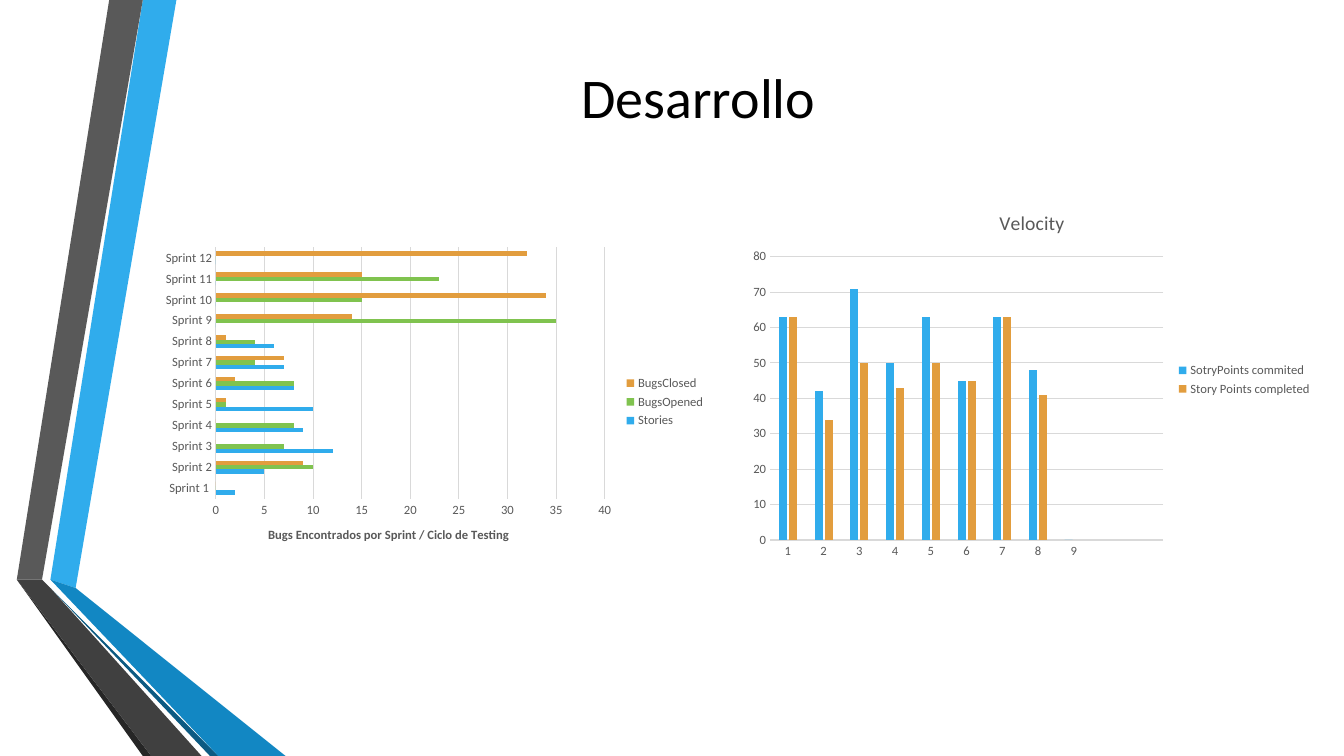
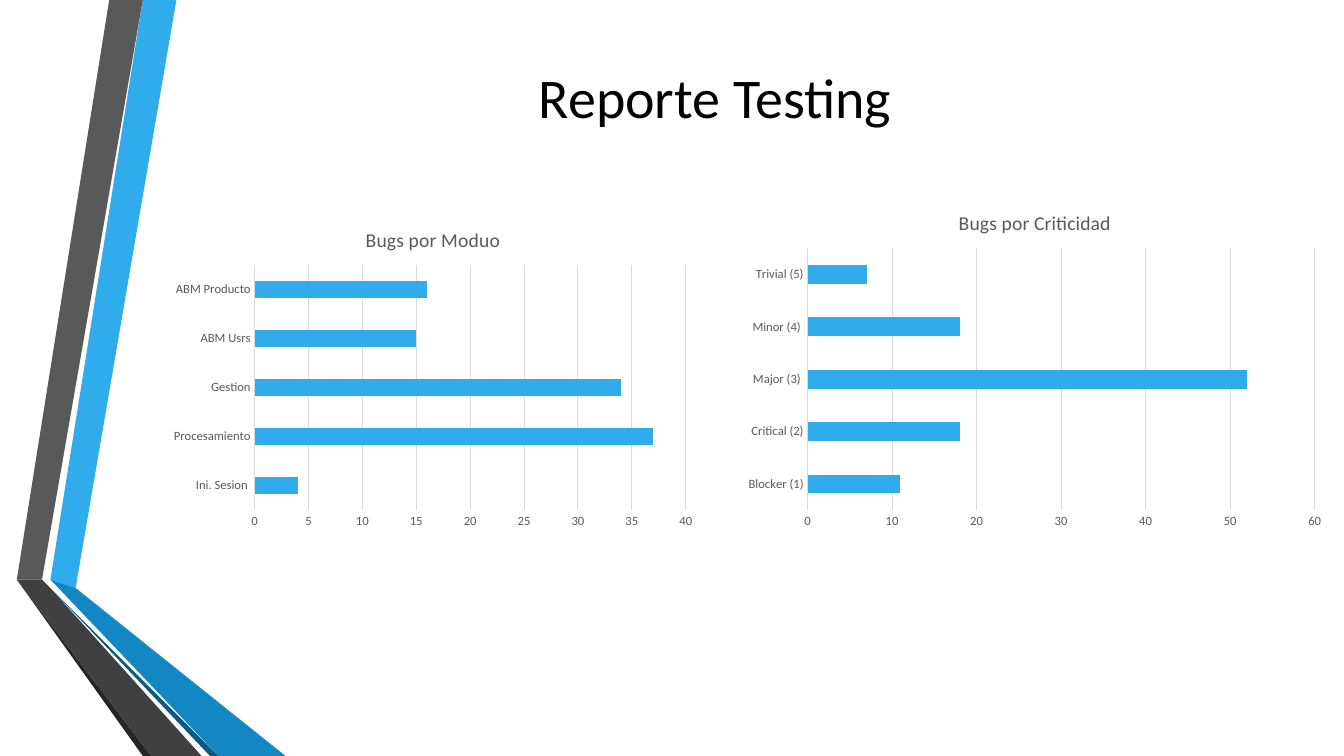
from dataclasses import dataclass
from typing import Optional

import pptx
import pptx.chart.axis
import pptx.chart.chart
import pptx.chart.data
import pptx.dml.color
import pptx.enum.chart
import pptx.enum.text
import pptx.slide
import pptx.text.text
import pptx.util

COLUMNS, ROWS = 160, 90
CELL = pptx.util.Inches(1 / 12)
FONT = "Calibri"
TITLE_SIZE, CHART_TITLE_SIZE, LABEL_SIZE = 40, 14, 9

BLACK = pptx.dml.color.RGBColor(0x00, 0x00, 0x00)
BLUE = pptx.dml.color.RGBColor(0x30, 0xAC, 0xEC)
DEEP_BLUE = pptx.dml.color.RGBColor(0x12, 0x87, 0xC3)
NAVY = pptx.dml.color.RGBColor(0x0C, 0x5A, 0x82)
GREEN = pptx.dml.color.RGBColor(0x80, 0xC3, 0x4F)
ORANGE = pptx.dml.color.RGBColor(0xE2, 0x9D, 0x3E)
GRAY = pptx.dml.color.RGBColor(0x59, 0x59, 0x59)
DARK_GRAY = pptx.dml.color.RGBColor(0x40, 0x40, 0x40)
CHARCOAL = pptx.dml.color.RGBColor(0x26, 0x26, 0x26)
LIGHT_GRAY = pptx.dml.color.RGBColor(0xD9, 0xD9, 0xD9)

BAR = pptx.enum.chart.XL_CHART_TYPE.BAR_CLUSTERED
COLUMN = pptx.enum.chart.XL_CHART_TYPE.COLUMN_CLUSTERED


@dataclass(frozen=True)
class Band:
    color: pptx.dml.color.RGBColor
    corners: tuple[tuple[float, float], ...]


@dataclass(frozen=True)
class Frame:
    column: float
    row: float
    columns: float
    rows: float


@dataclass(frozen=True)
class Series:
    name: str
    color: pptx.dml.color.RGBColor
    values: tuple[Optional[int], ...]


@dataclass(frozen=True)
class Graph:
    frame: Frame
    kind: pptx.enum.chart.XL_CHART_TYPE
    categories: tuple[str, ...]
    series: tuple[Series, ...]
    title: str = ""
    value_title: str = ""
    gap: int = 182
    overlap: int = 0


@dataclass(frozen=True)
class Report:
    title: str
    title_column: float
    graphs: tuple[Graph, ...]


BANDS = (
    Band(BLUE, ((6, 69.4), (9.2, 70), (20.8, 0), (17.4, 0))),
    Band(GRAY, ((16.7, 0), (13.3, 0), (1.9, 68.8), (5.3, 69.3))),
    Band(CHARCOAL, ((1.9, 68.8), (17.4, 90), (18.1, 90))),
    Band(NAVY, ((6, 69.5), (25, 90), (25.7, 90))),
    Band(DEEP_BLUE, ((6, 69.4), (25.7, 90), (34, 90), (9.2, 70))),
    Band(DARK_GRAY, ((24.2, 90), (5.8, 70), (5.3, 69.3), (1.9, 68.8), (18.1, 90))),
)

REPORTS = (
    Report("Desarrollo", 17.4, (
        Graph(
            Frame(18.4, 28.7, 66.8, 38.3), BAR,
            ("Sprint 1 ", *(f"Sprint {number}" for number in range(2, 13))),
            (
                Series("Stories", BLUE, (2, 5, 12, 9, 10, 8, 7, 6, 0, 0, 0, 0)),
                Series("BugsOpened", GREEN, (0, 10, 7, 8, 1, 8, 4, 4, 35, 15, 23, 0)),
                Series("BugsClosed", ORANGE, (0, 9, 0, 0, 1, 2, 7, 1, 14, 34, 15, 32)),
            ),
            value_title="Bugs Encontrados por Sprint / Ciclo de Testing",
        ),
        Graph(
            Frame(88.3, 23, 69.1, 44.4), COLUMN,
            (*(str(number) for number in range(1, 10)), "", ""),
            (
                Series("SotryPoints commited", BLUE,
                       (63, 42, 71, 50, 63, 45, 63, 48, 0, None, None)),
                Series("Story Points completed", ORANGE,
                       (63, 34, 50, 43, 50, 45, 63, 41, None, None, None)),
            ),
            title="Velocity", gap=219, overlap=-27,
        ),
    )),
    Report("Reporte Testing", 19.4, (
        Graph(
            Frame(19.4, 25.1, 64.3, 38.6), BAR,
            ("Ini. Sesion ", "Procesamiento", "Gestion", "ABM Usrs", "ABM Producto"),
            (Series("Series 1", BLUE, (4, 37, 34, 15, 16)),),
            title="Bugs por Moduo",
        ),
        Graph(
            Frame(87.7, 23, 71, 40.8), BAR,
            ("Blocker (1)", "Critical (2)", "Major (3) ", "Minor (4) ", "Trivial (5)"),
            (Series("Series 1", BLUE, (11, 18, 52, 18, 7)),),
            title="Bugs por Criticidad",
        ),
    )),
)


def cells(count: float) -> pptx.util.Emu:
    return pptx.util.Emu(round(count * CELL))


def place(frame: Frame) -> tuple[pptx.util.Emu, ...]:
    return tuple(cells(n) for n in (frame.column, frame.row, frame.columns, frame.rows))


def style_font(font: pptx.text.text.Font, size: float,
               color: pptx.dml.color.RGBColor = GRAY, bold: bool = False) -> None:
    font.name = FONT
    font.size = pptx.util.Pt(size)
    font.bold = bold
    font.color.rgb = color


def write(text_frame: pptx.text.text.TextFrame, text: str, size: float,
          color: pptx.dml.color.RGBColor = GRAY, bold: bool = False) -> None:
    para = text_frame.paragraphs[0]
    para.alignment = pptx.enum.text.PP_ALIGN.CENTER
    span = para.add_run()
    span.text = text
    style_font(span.font, size, color, bold)


def draw_band(page: pptx.slide.Slide, band: Band) -> None:
    start, *others = band.corners
    builder = page.shapes.build_freeform(*start, scale=float(CELL))
    builder.add_line_segments(others, close=True)
    shape = builder.convert_to_shape()
    shape.shadow.inherit = False
    shape.fill.solid()
    shape.fill.fore_color.rgb = band.color
    shape.line.fill.background()


def draw_title(page: pptx.slide.Slide, text: str, column: float) -> None:
    box = page.shapes.add_textbox(*place(Frame(column, 0, 131.5, 23)))
    box.text_frame.word_wrap = True
    box.text_frame.vertical_anchor = pptx.enum.text.MSO_ANCHOR.MIDDLE
    write(box.text_frame, text, TITLE_SIZE, BLACK)


def style_line(line: pptx.dml.line.LineFormat) -> None:
    line.color.rgb = LIGHT_GRAY
    line.width = pptx.util.Pt(0.75)


def style_axes(chart: pptx.chart.chart.Chart, value_title: str) -> None:
    for axis in (chart.category_axis, chart.value_axis):
        axis.major_tick_mark = pptx.enum.chart.XL_TICK_MARK.NONE
        axis.minor_tick_mark = pptx.enum.chart.XL_TICK_MARK.NONE
        style_font(axis.tick_labels.font, LABEL_SIZE)
    style_line(chart.category_axis.format.line)
    chart.value_axis.format.line.fill.background()
    chart.value_axis.has_major_gridlines = True
    style_line(chart.value_axis.major_gridlines.format.line)
    if value_title:
        write(chart.value_axis.axis_title.text_frame, value_title, LABEL_SIZE, bold=True)


def draw_graph(page: pptx.slide.Slide, graph: Graph) -> None:
    data = pptx.chart.data.CategoryChartData()
    data.categories = graph.categories
    for series in graph.series:
        data.add_series(series.name, series.values)
    chart = page.shapes.add_chart(graph.kind, *place(graph.frame), data).chart
    style_font(chart.font, 10, BLACK)
    chart.has_title = bool(graph.title)
    if graph.title:
        write(chart.chart_title.text_frame, graph.title, CHART_TITLE_SIZE)
    chart.has_legend = len(graph.series) > 1
    if chart.has_legend:
        chart.legend.position = pptx.enum.chart.XL_LEGEND_POSITION.RIGHT
        chart.legend.include_in_layout = False
        style_font(chart.legend.font, LABEL_SIZE)
    style_axes(chart, graph.value_title)
    plot = chart.plots[0]
    plot.vary_by_categories = False
    plot.gap_width = graph.gap
    plot.overlap = graph.overlap
    for drawn, series in zip(plot.series, graph.series):
        drawn.format.fill.solid()
        drawn.format.fill.fore_color.rgb = series.color


def main() -> None:
    deck = pptx.Presentation()
    deck.slide_width = cells(COLUMNS)
    deck.slide_height = cells(ROWS)
    for report in REPORTS:
        page = deck.slides.add_slide(deck.slide_layouts[6])
        for band in BANDS:
            draw_band(page, band)
        draw_title(page, report.title, report.title_column)
        for graph in report.graphs:
            draw_graph(page, graph)
    deck.save("out.pptx")


if __name__ == "__main__":
    main()
